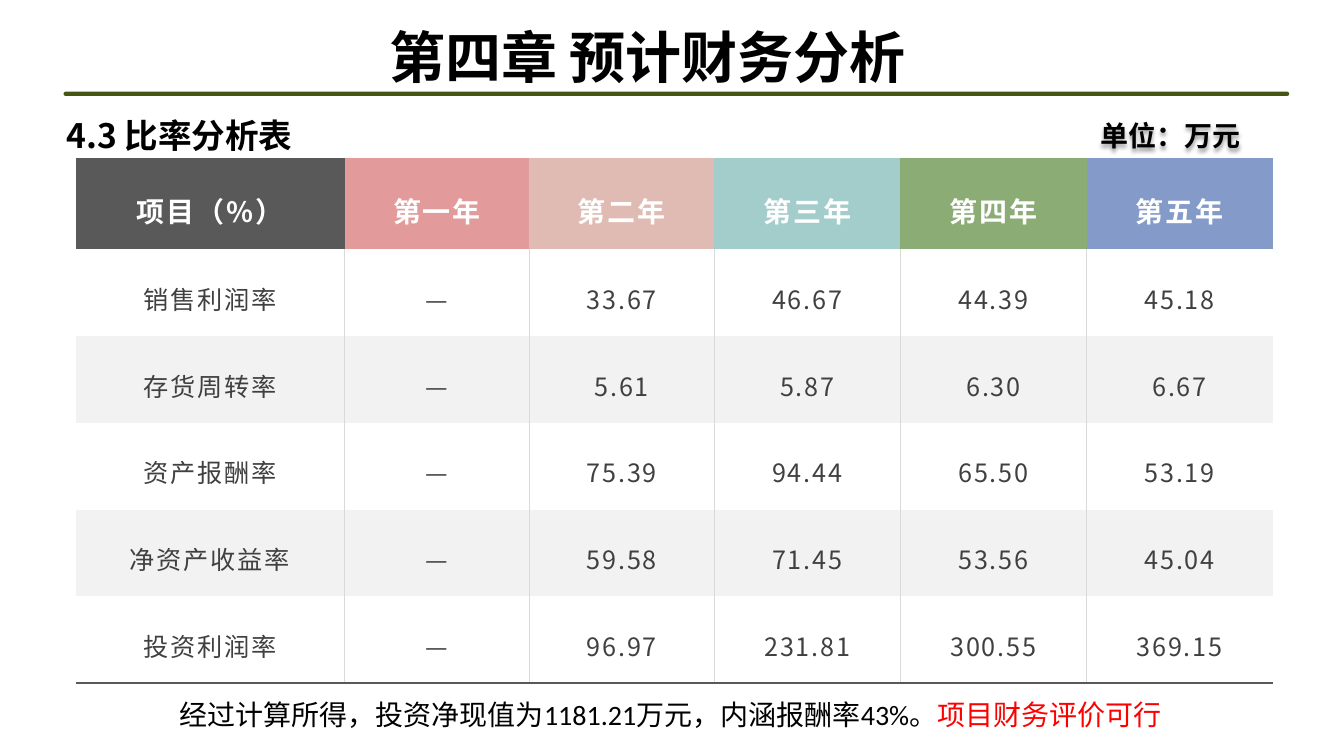
from dataclasses import dataclass

from lxml import etree
from pptx import Presentation
from pptx.dml.color import RGBColor
from pptx.enum import shapes, text
from pptx.oxml import ns
from pptx.util import Pt

CJK = "Noto Sans CJK SC"
GRID, DARK = "D9D9D9", "595959"
CENTER, LEFT = text.PP_ALIGN.CENTER, text.PP_ALIGN.LEFT


@dataclass
class Run:
    words: str
    color: str = "000000"


@dataclass
class Label:
    box: tuple[float, float, float, float]
    runs: list[Run]
    size: float
    font: str = CJK
    bold: bool = False
    align: text.PP_ALIGN = LEFT
    margins: tuple[float, float] = (7.2, 3.6)
    indent: float = 0


@dataclass
class Column:
    head: str
    fill: str
    width: float
    values: list[str]


TITLE = Label((249.5, 12.3, 426, 55.4), [Run("第四章 预计财务分析")], 40, bold=True, align=CENTER)
SECTION = Label((40.3, 78.5, 312.5, 36), [Run("4.3 比率分析表")], 24, bold=True)
UNIT = Label((756.5, 81.5, 149, 30.2), [Run("单位：万元")], 20, "Arial", True, CENTER, (0, 0), 10)
SUMMARY = Label((121, 494.6, 738.7, 31.7),
                [Run("经过计算所得，投资净现值为1181.21万元，内涵报酬率43%。"),
                 Run("项目财务评价可行", "FF0000")], 20, "Calibri")

COLUMNS = [
    Column("项目（%）", DARK, 192.2,
           ["销售利润率", "存货周转率", "资产报酬率", "净资产收益率", "投资利润率"]),
    Column("第一年", "E29A9A", 132, ["—"] * 5),
    Column("第二年", "DFBBB3", 132, ["33.67", "5.61", "75.39", "59.58", "96.97"]),
    Column("第三年", "A3CDCB", 133, ["46.67", "5.87", "94.44", "71.45", "231.81"]),
    Column("第四年", "8BAC74", 133, ["44.39", "6.30", "65.50", "53.56", "300.55"]),
    Column("第五年", "849BCA", 133, ["45.18", "6.67", "53.19", "45.04", "369.15"]),
]
HEAD_HEIGHT, ROW_HEIGHT = 65, 62


def rgb(color: str) -> RGBColor:
    return RGBColor.from_string(color)


def add(parent, tag: str, **attributes: str):
    return etree.SubElement(parent, ns.qn(tag), attributes)


def set_font(p, name: str, size: float, bold: bool, color: str, spacing: str = "0") -> None:
    font = p.font
    font.size, font.bold, font.name = Pt(size), bold, name
    font.color.rgb = rgb(color)
    props = p._p.pPr.find(ns.qn("a:defRPr"))
    props.set("spc", spacing)
    props.find(ns.qn("a:latin")).addnext(etree.Element(ns.qn("a:ea"), typeface=CJK))


def fill_label(sp, label: Label) -> None:
    sp.left, sp.top, sp.width, sp.height = (Pt(v) for v in label.box)
    tf = sp.text_frame
    tf.word_wrap, tf.auto_size = True, text.MSO_AUTO_SIZE.NONE
    tf.vertical_anchor = text.MSO_ANCHOR.MIDDLE
    tf.margin_left = tf.margin_right = Pt(label.margins[0])
    tf.margin_top = tf.margin_bottom = Pt(label.margins[1])
    p = tf.paragraphs[0]
    p.alignment = label.align
    if label.indent:
        p._p.get_or_add_pPr().set("indent", str(Pt(label.indent)))
    set_font(p, label.font, label.size, label.bold, label.runs[0].color)
    for run in label.runs:
        r = p.add_run()
        r.text = run.words
        if run.color != label.runs[0].color:
            r.font.color.rgb = rgb(run.color)


def add_label(s, label: Label):
    sp = s.shapes.add_textbox(0, 0, 0, 0)
    fill_label(sp, label)
    return sp


def add_border(cell, side: str, color: str, width: float) -> None:
    line = add(cell._tc.get_or_add_tcPr(), f"a:ln{side}", w=str(Pt(width)))
    add(add(line, "a:solidFill"), "a:srgbClr", val=color)


def fill_cell(cell, words: str, fill: str, size: float, bold: bool, color: str) -> None:
    cell.fill.solid()
    cell.fill.fore_color.rgb = rgb(fill)
    cell.vertical_anchor = text.MSO_ANCHOR.MIDDLE
    cell.margin_left = cell.margin_right = Pt(25.2)
    # Margins leave room for one line within the row height
    cell.margin_top, cell.margin_bottom = Pt(16), Pt(13)
    p = cell.text_frame.paragraphs[0]
    p.text, p.alignment, p.line_spacing = words, CENTER, 1.2
    set_font(p, CJK, size, bold, color, "130")


def add_ratio_table(s) -> None:
    rows, last = len(COLUMNS[0].values), len(COLUMNS) - 1
    width = sum(column.width for column in COLUMNS)
    frame = s.shapes.add_table(rows + 1, len(COLUMNS), Pt(54), Pt(113), Pt(width),
                               Pt(HEAD_HEIGHT + rows * ROW_HEIGHT))
    table = frame.table
    table.first_row = table.horz_banding = False
    # Built-in style without fills or grid
    style = table._tbl.tblPr.find(ns.qn("a:tableStyleId"))
    style.text = "{2D5ABB26-0587-4C30-8999-92F81FD0307C}"
    for i, row in enumerate(table.rows):
        row.height = Pt(ROW_HEIGHT if i else HEAD_HEIGHT)
    for j, column in enumerate(COLUMNS):
        table.columns[j].width = Pt(column.width)
        fill_cell(table.cell(0, j), column.head, column.fill, 20, True, "FFFFFF")
        for i, value in enumerate(column.values, 1):
            cell = table.cell(i, j)
            if j > 0:
                add_border(cell, "L", GRID, 1 if j == 1 else 0.5)
            if j < last:
                add_border(cell, "R", GRID, 1 if j == 0 else 0.5)
            if i == rows:
                add_border(cell, "B", DARK, 1.5)
            fill_cell(cell, value, "FFFFFF" if i % 2 else "F2F2F2", 18, False, "404040")


def add_text_shadow(sp) -> None:
    effects = add(sp._element.spPr, "a:effectLst")
    shadow = add(effects, "a:outerShdw", blurRad=str(Pt(3)), dist=str(Pt(2)),
                 dir="5400000", algn="t", rotWithShape="0")
    add(add(shadow, "a:srgbClr", val="000000"), "a:alpha", val="40000")


def main() -> None:
    prs = Presentation()
    prs.slide_width, prs.slide_height = Pt(960), Pt(540)
    s = prs.slides.add_slide(prs.slide_layouts[5])

    # Title and rule
    fill_label(s.shapes.title, TITLE)
    rule = s.shapes.add_shape(shapes.MSO_SHAPE.ROUNDED_RECTANGLE,
                              Pt(45.4), Pt(65.5), Pt(875.5), Pt(3))
    rule.adjustments[0] = 0.5
    rule.shadow.inherit = False
    rule.fill.solid()
    rule.fill.fore_color.rgb = rgb("445612")
    rule.line.fill.background()

    # Ratio table with its heading and unit
    add_ratio_table(s)
    add_label(s, SECTION)
    add_text_shadow(add_label(s, UNIT))

    # Conclusion
    add_label(s, SUMMARY)
    prs.save("out.pptx")


if __name__ == "__main__":
    main()
